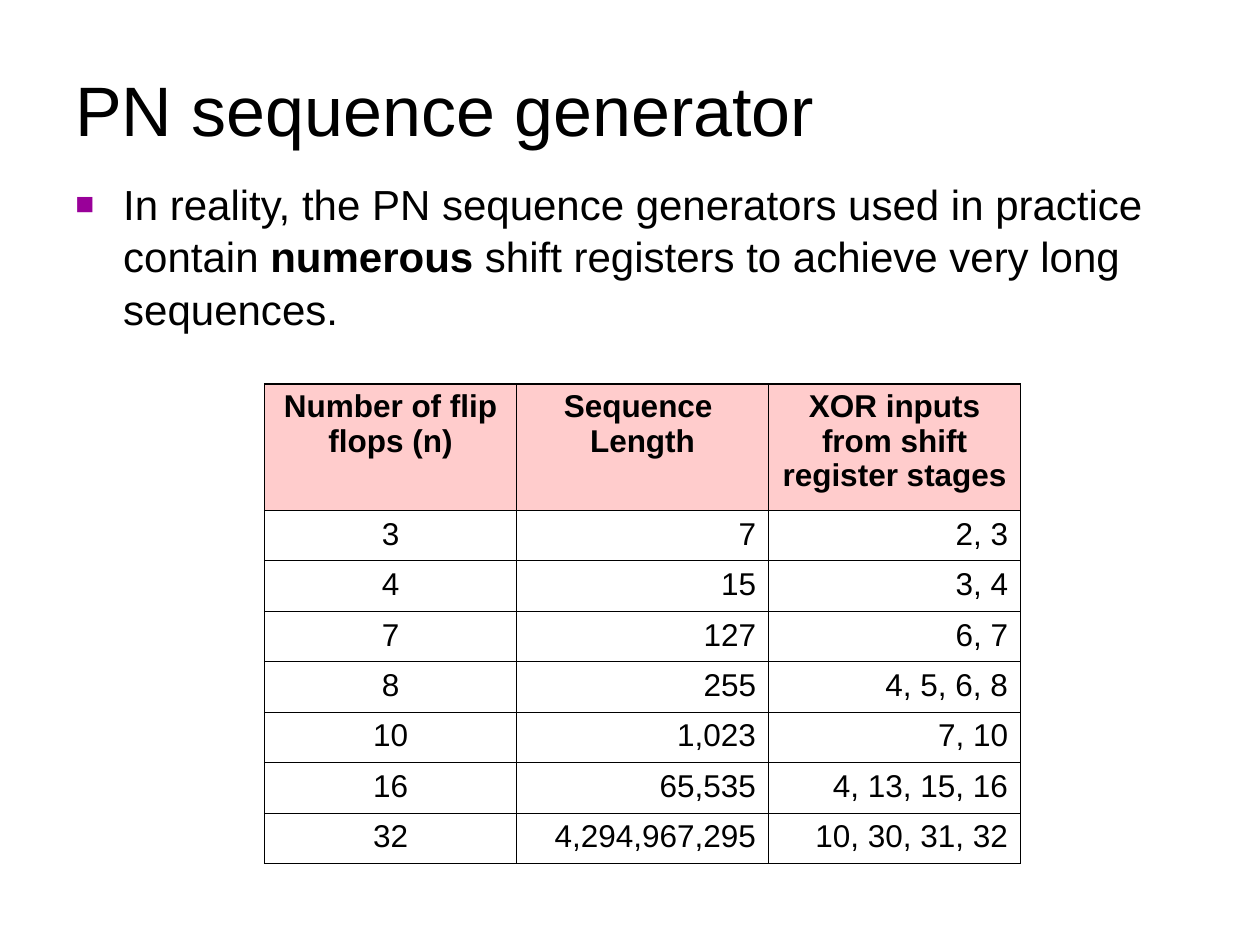
from dataclasses import dataclass

from lxml import etree
from pptx import Presentation
from pptx.dml.color import RGBColor
from pptx.enum.text import MSO_ANCHOR, PP_ALIGN
from pptx.oxml.ns import qn
from pptx.util import Inches, Pt

CENTER, RIGHT = PP_ALIGN.CENTER, PP_ALIGN.RIGHT
TOP, MIDDLE = MSO_ANCHOR.TOP, MSO_ANCHOR.MIDDLE


@dataclass(frozen=True)
class Theme:
    """Colours, type sizes and line widths of the slide."""
    font: str = "Arial"
    ink: str = "000000"
    accent: str = "990099"
    header_fill: str = "FFCCCC"
    title_size: int = 40
    body_size: int = 24
    table_size: int = 18
    frame_width: float = 1.08
    rule_width: float = 0.45


THEME = Theme()
WIDTH, HEIGHT = Inches(10), Inches(7.5)
TITLE = "PN sequence generator"
BODY = [
    ("In reality, the PN sequence generators used in practice contain ", False),
    ("numerous", True),
    (" shift registers to achieve very long sequences.", False),
]
COLUMN_SHARES = (1, 1, 1)
ROW_SHARES = (2.5,) + (1,) * 7
ROWS = [
    ("Number of flip flops (n)", "Sequence \vLength", "XOR inputs from shift register stages"),
    ("3", "7", "2, 3"),
    ("4", "15", "3, 4"),
    ("7", "127", "6, 7"),
    ("8", "255", "4, 5, 6, 8"),
    ("10", "1,023", "7, 10"),
    ("16", "65,535", "4, 13, 15, 16"),
    ("32", "4,294,967,295", "10, 30, 31, 32"),
]


def set_values(target, values):
    """Set each named attribute of the target."""
    for name, value in values.items():
        setattr(target, name, value)


def style_font(font, size, bold=False):
    """Apply the theme font at the given size."""
    set_values(font, {"name": THEME.font, "size": Pt(size), "bold": bold})
    font.color.rgb = RGBColor.from_string(THEME.ink)


def add_solid_fill(parent, color):
    """Append a solid fill element."""
    fill = etree.SubElement(parent, qn("a:solidFill"))
    etree.SubElement(fill, qn("a:srgbClr"), val=color)


def add_text_frame(slide, box, anchor):
    """Add a wrapping text box and return its text frame."""
    frame = slide.shapes.add_textbox(*box).text_frame
    set_values(frame, {"word_wrap": True, "vertical_anchor": anchor})
    return frame


def add_title(slide, box):
    """Place the slide title in the box."""
    paragraph = add_text_frame(slide, box, MIDDLE).paragraphs[0]
    paragraph.text = TITLE
    style_font(paragraph.runs[0].font, THEME.title_size)


def add_body(slide, box):
    """Place the bulleted statement in the box."""
    paragraph = add_text_frame(slide, box, TOP).paragraphs[0]
    paragraph.line_spacing = 1.04
    properties = paragraph._p.get_or_add_pPr()
    indent = Inches(0.38)
    properties.set("marL", str(indent))
    properties.set("indent", str(-indent))
    color = etree.SubElement(properties, qn("a:buClr"))
    etree.SubElement(color, qn("a:srgbClr"), val=THEME.accent)
    etree.SubElement(properties, qn("a:buSzPct"), val="75000")
    etree.SubElement(properties, qn("a:buFont"), typeface=THEME.font)
    etree.SubElement(properties, qn("a:buChar"), char="■")
    for text, bold in BODY:
        run = paragraph.add_run()
        run.text = text
        style_font(run.font, THEME.body_size, bold)


def style_cell(cell, row, column):
    """Give a cell its borders and fill by its place in the grid."""
    outer = {
        "a:lnL": column == 0,
        "a:lnR": column == len(COLUMN_SHARES) - 1,
        "a:lnT": row == 0,
        "a:lnB": row == len(ROWS) - 1,
    }
    properties = cell._tc.get_or_add_tcPr()
    for tag, is_frame in outer.items():
        width = THEME.frame_width if is_frame else THEME.rule_width
        line = etree.SubElement(properties, qn(tag), w=str(Pt(width)))
        add_solid_fill(line, THEME.ink)
    if row == 0:
        cell.fill.solid()
        cell.fill.fore_color.rgb = RGBColor.from_string(THEME.header_fill)
    else:
        cell.fill.background()


def add_sequence_table(slide, box):
    """Place the table of sequence lengths in the box."""
    left, top, width, height = box
    table = slide.shapes.add_table(len(ROWS), len(COLUMN_SHARES), *box).table
    set_values(table, {"first_row": False, "horz_banding": False})
    for column, share in zip(table.columns, COLUMN_SHARES):
        column.width = int(width * share / sum(COLUMN_SHARES))
    for row, share in zip(table.rows, ROW_SHARES):
        row.height = int(height * share / sum(ROW_SHARES))
    for row_index, texts in enumerate(ROWS):
        for column_index, text in enumerate(texts):
            cell = table.cell(row_index, column_index)
            is_header = row_index == 0
            paragraph = cell.text_frame.paragraphs[0]
            paragraph.text = text
            centered = is_header or column_index == 0
            set_values(paragraph, {"alignment": CENTER if centered else RIGHT,
                                   "line_spacing": 0.97 if is_header else 1.0})
            for run in paragraph.runs:
                style_font(run.font, THEME.table_size, is_header)
            style_cell(cell, row_index, column_index)


def share_box(left, top, width, height):
    """Turn shares of the slide into a box."""
    return (int(WIDTH * left), int(HEIGHT * top),
            int(WIDTH * width), int(HEIGHT * height))


def main():
    """Build and save the slide."""
    presentation = Presentation()
    set_values(presentation, {"slide_width": WIDTH, "slide_height": HEIGHT})
    slide = presentation.slides.add_slide(presentation.slide_layouts[6])
    add_title(slide, share_box(0.05, 0.07, 0.9, 0.09))
    add_body(slide, share_box(0.05, 0.18, 0.9, 0.27))
    add_sequence_table(slide, (Inches(2.1), Inches(3.05), Inches(6), Inches(3.8)))
    presentation.save("out.pptx")


if __name__ == "__main__":
    main()
